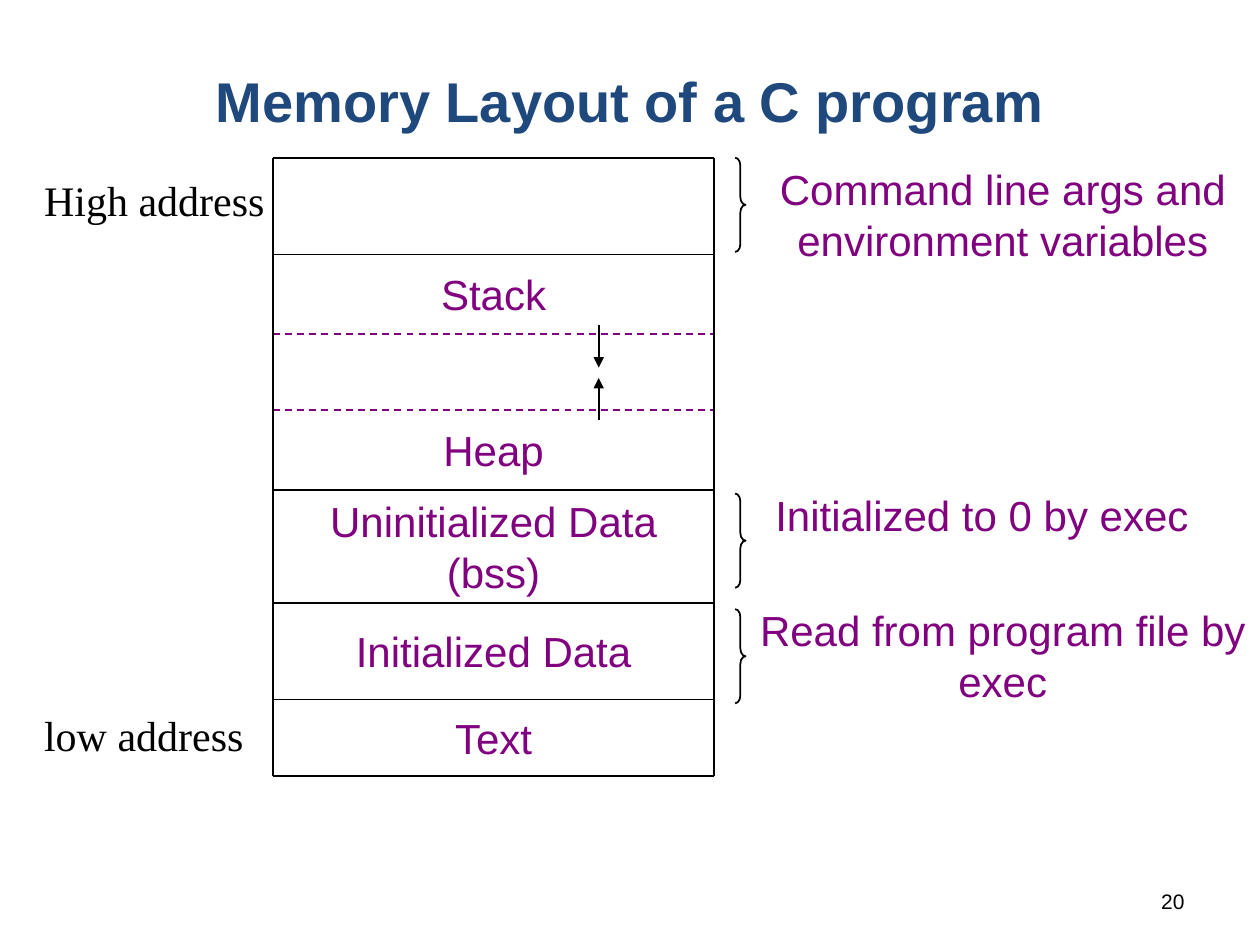
"""Build a slide showing the memory layout of a C program."""
from dataclasses import dataclass
from itertools import pairwise

from lxml.etree import SubElement
from pptx import Presentation
from pptx.dml.color import RGBColor
from pptx.enum.dml import MSO_LINE
from pptx.enum.shapes import MSO_CONNECTOR, MSO_SHAPE
from pptx.enum.text import MSO_ANCHOR, PP_ALIGN
from pptx.oxml.ns import qn
from pptx.util import Cm, Pt

BLACK = RGBColor(0, 0, 0)
NAVY = RGBColor(0x1F, 0x49, 0x7D)
PURPLE = RGBColor(0x80, 0, 0x80)
LINE_WIDTH = Pt(1)
LEFT, RIGHT = 5.5, 14.4
EDGES = [3.18, 5.13, 6.73, 8.26, 9.88, 12.15, 14.1, 15.65]
DASHED_EDGES = {6.73, 8.26}
SEGMENTS = ["", "Stack", "", "Heap", "Uninitialized Data (bss)", "Initialized Data", "Text"]
BRACE_TOPS = [3.18, 9.95, 12.28]


@dataclass
class Label:
    text: str
    left: float
    top: float
    width: float
    height: float
    font: str = "Arial"
    size: int = 24
    color: RGBColor = PURPLE
    align: PP_ALIGN = PP_ALIGN.CENTER
    anchor: MSO_ANCHOR = MSO_ANCHOR.TOP
    before: int = 6


def address(text: str, top: float) -> Label:
    return Label(text, 0.64, top, 5.28, 1.27, "Times New Roman", 24, BLACK,
                 PP_ALIGN.LEFT, before=15)


LABELS = [
    address("High address", 3.39),
    address("low address", 14.18),
    Label("Command line args and environment variables", 15.03, 3.18, 10.37, 1.95),
    Label("Initialized to 0 by exec", 14.61, 9.74, 10.37, 1.27),
    Label("Read from program file by exec", 15.03, 12.07, 10.37, 1.95),
    Label("20", 18.2, 17.65, 5.93, 1.02, size=12, color=BLACK,
          align=PP_ALIGN.RIGHT, anchor=MSO_ANCHOR.MIDDLE, before=0),
] + [
    Label(text, LEFT, top, RIGHT - LEFT, bottom - top, anchor=MSO_ANCHOR.MIDDLE)
    for text, (top, bottom) in zip(SEGMENTS, pairwise(EDGES)) if text
]


def write(shape, label: Label, bold: bool = False) -> None:
    shape.left, shape.top = Cm(label.left), Cm(label.top)
    shape.width, shape.height = Cm(label.width), Cm(label.height)
    tf = shape.text_frame
    tf.word_wrap = True
    tf.vertical_anchor = label.anchor
    p = tf.paragraphs[0]
    p.text = label.text
    p.alignment = label.align
    p.space_before = Pt(label.before)
    p.font.name, p.font.size, p.font.bold = label.font, Pt(label.size), bold
    p.font.color.rgb = label.color


def add_line(s, x1: float, y1: float, x2: float, y2: float,
             dashed: bool = False, arrow: bool = False) -> None:
    line = s.shapes.add_connector(MSO_CONNECTOR.STRAIGHT, Cm(x1), Cm(y1), Cm(x2), Cm(y2))
    line.line.width = LINE_WIDTH
    line.line.color.rgb = PURPLE if dashed else BLACK
    if dashed:
        line.line.dash_style = MSO_LINE.DASH
    if arrow:
        SubElement(line.line._get_or_add_ln(), qn("a:tailEnd"), type="triangle")
    SubElement(line._element.spPr, qn("a:effectLst"))


def add_brace(s, top: float) -> None:
    sp = s.shapes.add_shape(MSO_SHAPE.RIGHT_BRACE, Cm(14.82), Cm(top), Cm(0.21), Cm(1.9))
    sp.adjustments[0] = 0.75
    sp.shadow.inherit = False
    sp.fill.background()
    sp.line.color.rgb = BLACK
    sp.line.width = LINE_WIDTH


def main() -> None:
    prs = Presentation()
    prs.slide_width, prs.slide_height = Cm(25.4), Cm(19.05)
    s = prs.slides.add_slide(prs.slide_layouts[5])
    write(s.shapes.title, Label("Memory Layout of a C program", 1.9, 0.42, 21.6, 3.18, size=32,
                                color=NAVY, anchor=MSO_ANCHOR.MIDDLE, before=0), bold=True)
    for label in LABELS:
        write(s.shapes.add_textbox(0, 0, 0, 0), label)
    for y in EDGES:
        add_line(s, LEFT, y, RIGHT, y, dashed=y in DASHED_EDGES)
    for x in (LEFT, RIGHT):
        add_line(s, x, EDGES[0], x, EDGES[-1])
    for start, end in ((6.56, 7.41), (8.47, 7.62)):
        add_line(s, 12.07, start, 12.07, end, arrow=True)
    for top in BRACE_TOPS:
        add_brace(s, top)
    prs.save("out.pptx")


main()
